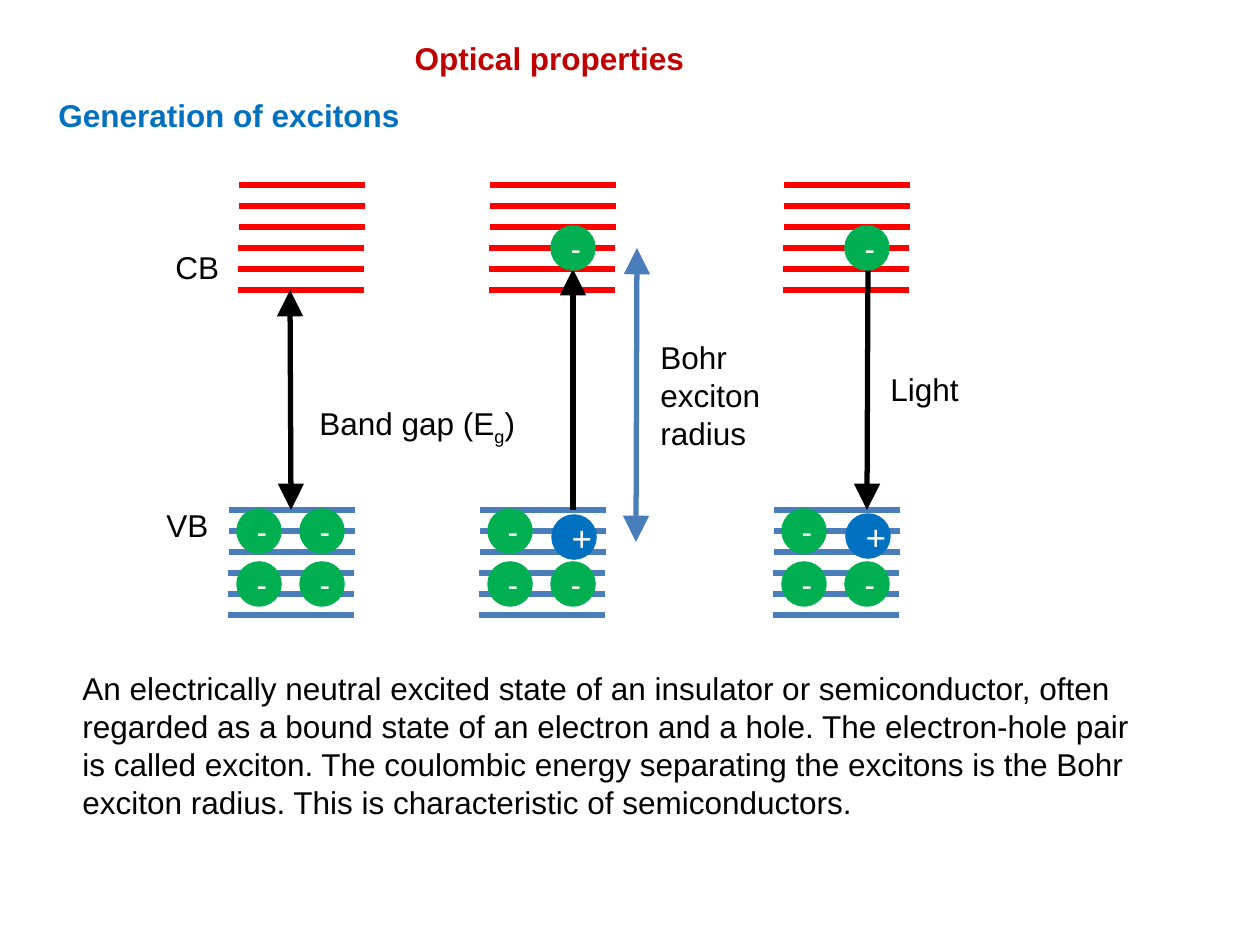
"""Build a slide on how excitons form between the valence and conduction bands."""
from lxml import etree
from pptx import Presentation
from pptx import util as u
from pptx.dml.color import RGBColor
from pptx.enum import shapes, text
from pptx.oxml.ns import qn

SCALE = 914400 / 126
FONT = "Arial"
INK = {"title": "C00000", "head": "0070C0", "text": "000000", "sign": "FFFFFF",
       "cb": "FF0000", "vb": "4A7EBB", "minus": "00B050", "plus": "0070C0"}

TITLE = ("Optical properties", (402, 33, 298, 50))
HEAD = ("Generation of excitons", (46, 90, 370, 50))
BODY = ("An electrically neutral excited state of an insulator or semiconductor, "
        "often regarded as a bound state of an electron and a hole. The electron-hole "
        "pair is called exciton. The coulombic energy separating the excitons is the "
        "Bohr exciton radius. This is characteristic of semiconductors.",
        (70, 663, 1074, 164))
LABELS = [
    ("VB", (154, 500, 72, 50)),
    ("CB", (163, 242, 74, 50)),
    ("Light", (878, 364, 100, 50)),
    ("Bohr\nexciton\nradius", (648, 332, 130, 126)),
]
GAP = (["Band gap (E", "g", ")"], (307, 398, 225, 55))

BANDS = [("vb", -10, 510), ("cb", 0, 185)]
LEVELS, STEP, WIDE = 6, 21, 126
BALL, NEXT = 42, 63
ROWS = {"up": 227, "top": 510, "low": 563}
STATES = [
    {"x": 238, "arrow": (291, 510, 290, 290), "ends": ("headEnd", "tailEnd"),
     "balls": [(0, "low"), (1, "low"), (1, "top"), (0, "top")], "hole": None},
    {"x": 489, "arrow": (573, 510, 573, 269), "ends": ("tailEnd",),
     "balls": [(0, "low"), (1, "low"), (1, "up"), (0, "top")], "hole": (553, 516)},
    {"x": 783, "arrow": (867, 510, 868, 269), "ends": ("headEnd",),
     "balls": [(0, "low"), (1, "low"), (1, "up"), (0, "top")], "hole": (847, 515)},
]
RADIUS = (637, 248, 636, 542)


def px(*vals):
    return [u.Emu(round(v * SCALE)) for v in vals]


def rgb(name):
    return RGBColor.from_string(INK[name])


def write(shape, words, ink="text", size=18, bold=False, align=None, sub=None):
    """Fill a shape with lines of text, or with runs when given a list."""
    frame = shape.text_frame
    rows = [words] if isinstance(words, list) else [[w] for w in words.split("\n")]
    for i, row in enumerate(rows):
        para = frame.add_paragraph() if i else frame.paragraphs[0]
        para.alignment = align
        for j, part in enumerate(row):
            run = para.add_run()
            run.text = part
            run.font.name, run.font.size, run.font.bold = FONT, u.Pt(size), bold
            run.font.color.rgb = rgb(ink)
            if j == sub:
                run.font._element.set("baseline", "-25000")


def label(slide, words, box, wrap=False, **form):
    shape = slide.shapes.add_textbox(*px(*box))
    shape.text_frame.word_wrap = wrap
    shape.text_frame.auto_size = text.MSO_AUTO_SIZE.SHAPE_TO_FIT_TEXT
    write(shape, words, **form)


def line(slide, ends, ink, tips=()):
    shape = slide.shapes.add_connector(shapes.MSO_CONNECTOR.STRAIGHT, *px(*ends))
    shape.line.color.rgb = rgb(ink)
    shape.line.width = u.Pt(3)
    for tip in tips:
        etree.SubElement(shape.line._get_or_add_ln(), qn("a:" + tip),
                         type="triangle", w="lg", len="lg")
    etree.SubElement(shape._element.spPr, qn("a:effectLst"))


def ball(slide, x, y, sign, ink, size):
    shape = slide.shapes.add_shape(shapes.MSO_SHAPE.OVAL, *px(x, y, BALL, BALL))
    shape.shadow.inherit = False
    shape.fill.solid()
    shape.fill.fore_color.rgb = shape.line.color.rgb = rgb(ink)
    shape.line.width = u.Pt(2)
    shape.text_frame.vertical_anchor = text.MSO_ANCHOR.MIDDLE
    write(shape, sign, ink="sign", size=size, align=text.PP_ALIGN.CENTER)


def state(slide, x, arrow, ends, balls, hole):
    for ink, shift, top in BANDS:
        for i in range(LEVELS):
            left = x + shift + (1 if i < LEVELS / 2 else 0)
            y = top + i * STEP
            line(slide, (left, y, left + WIDE, y), ink)
    line(slide, arrow, "text", ends)
    for col, row in balls:
        ball(slide, x + col * NEXT, ROWS[row], "-", "minus", 18)
    if hole:
        ball(slide, *hole, "+", "plus", 20)


def main():
    deck = Presentation()
    deck.slide_width, deck.slide_height = px(1260, 945)
    slide = deck.slides.add_slide(deck.slide_layouts[5])
    title = slide.shapes.title
    title.left, title.top, title.width, title.height = px(*TITLE[1])
    title.text_frame.word_wrap = False
    title.text_frame.auto_size = text.MSO_AUTO_SIZE.SHAPE_TO_FIT_TEXT
    title.text_frame.vertical_anchor = text.MSO_ANCHOR.TOP
    write(title, TITLE[0], ink="title", bold=True, align=text.PP_ALIGN.LEFT)
    label(slide, *HEAD, ink="head", bold=True)
    label(slide, *BODY, wrap=True)
    label(slide, *GAP, sub=1)
    for item in STATES:
        state(slide, **item)
    line(slide, RADIUS, "vb", ("headEnd", "tailEnd"))
    for words, box in LABELS:
        label(slide, words, box)
    deck.save("out.pptx")


if __name__ == "__main__":
    main()
